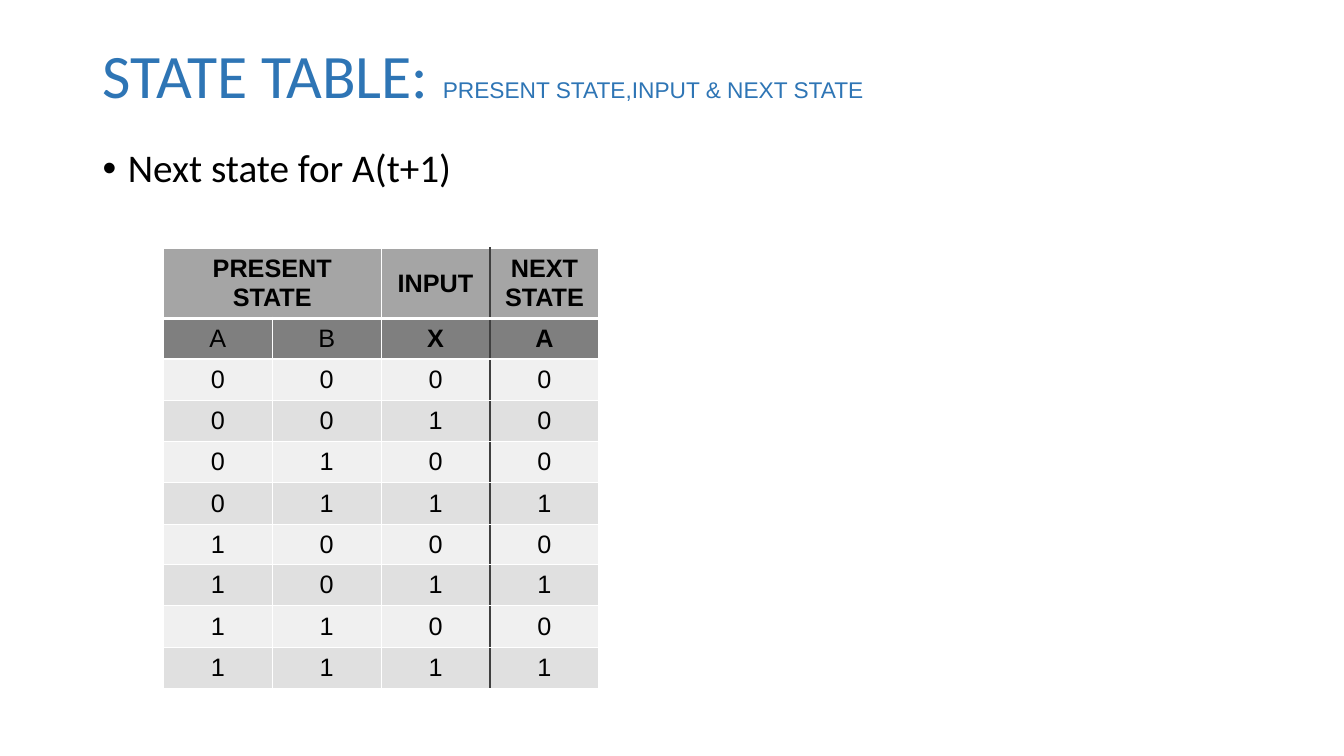
from itertools import product

from lxml.etree import SubElement as Sub
from pptx import Presentation
from pptx.dml.color import RGBColor
from pptx.enum.text import MSO_ANCHOR as Anchor, PP_ALIGN as Align
from pptx.oxml.ns import qn
from pptx.util import Inches, Pt

BLACK, WHITE, GREY = "000000", "FFFFFF", "3F3F3F"
BLUE, HEAD, LABEL = "2E75B5", "A5A5A5", "7F7F7F"
BANDS = ["F0F0F0", "E0E0E0"]
ROWS = [["PRESENT STATE", "", "INPUT", "NEXT STATE"], ["A", "B", "X", "A"]]
ROWS += [[str(v) for v in (a, b, x, x & (a | b))]
         for a, b, x in product((0, 1), repeat=3)]
TALL = [0.41, 0.29] + [0.41] * 4 + [0.17] + [0.41] * 3


def color(text):
    return RGBColor.from_string(text)


def add_run(para, text, font, size, shade, bold=False):
    run = para.add_run()
    run.text = text
    run.font.name = font
    run.font.size = Pt(size)
    run.font.bold = bold
    run.font.color.rgb = color(shade)


def set_frame(frame, anchor):
    frame.word_wrap = True
    frame.vertical_anchor = anchor
    frame.margin_left = frame.margin_right = Inches(0.1)
    frame.margin_top = frame.margin_bottom = Inches(0.05)
    para = frame.paragraphs[0]
    para.line_spacing = 0.9
    para.alignment = Align.LEFT
    return para


def add_title(slide, left, top, width, height):
    title = slide.shapes.title
    title.left, title.top = Inches(left), Inches(top)
    title.width, title.height = Inches(width), Inches(height)
    para = set_frame(title.text_frame, Anchor.MIDDLE)
    add_run(para, "STATE TABLE: ", "Calibri", 44.1, BLUE)
    add_run(para, "PRESENT STATE,INPUT & NEXT STATE", "Arial", 16.2, BLUE)
    para.add_line_break()
    Sub(para._p[-1], qn("a:rPr"), sz="1620")
    Sub(para._p, qn("a:endParaRPr"), sz="1620")


def add_body(slide, left, top, width, height):
    box = slide.shapes.add_textbox(
        Inches(left), Inches(top), Inches(width), Inches(height))
    para = set_frame(box.text_frame, Anchor.TOP)
    props = para._p.get_or_add_pPr()
    props.set("marL", str(Inches(0.25)))
    props.set("indent", str(-Inches(0.25)))
    tint = Sub(props, qn("a:buClr"))
    Sub(tint, qn("a:srgbClr"), val=BLACK)
    Sub(props, qn("a:buFont"), typeface="Arial")
    Sub(props, qn("a:buChar"), char="•")
    add_run(para, "Next state for A(t+1)", "Calibri", 28, BLACK)


def add_edge(cell, side, shade, width):
    line = Sub(cell._tc.get_or_add_tcPr(), qn("a:ln" + side), w=str(Pt(width)))
    fill = Sub(line, qn("a:solidFill"))
    Sub(fill, qn("a:srgbClr"), val=shade)


def fill_cell(cell, text, row, col):
    add_edge(cell, "L", GREY if col == 3 else WHITE, 1)
    add_edge(cell, "R", GREY if col == 2 else WHITE, 1)
    add_edge(cell, "T", WHITE, 3 if row == 1 else 1)
    add_edge(cell, "B", WHITE, 3 if row == 0 else 1)
    cell.fill.solid()
    cell.fill.fore_color.rgb = color(([HEAD, LABEL] + BANDS * 4)[row])
    cell.vertical_anchor = Anchor.MIDDLE
    para = cell.text_frame.paragraphs[0]
    para.alignment = Align.CENTER
    if text:
        bold = row == 0 or (row == 1 and col > 1)
        add_run(para, text, "Arial", 18, BLACK, bold)


def add_states(slide, left, top, wide):
    frame = slide.shapes.add_table(
        len(ROWS), len(ROWS[0]), Inches(left), Inches(top),
        Inches(wide * len(ROWS[0])), Inches(sum(TALL)))
    table = frame.table
    table.first_row = table.horz_banding = False
    for col in table.columns:
        col.width = Inches(wide)
    for row, tall in zip(table.rows, TALL):
        row.height = Inches(tall)
    table.cell(0, 0).merge(table.cell(0, 1))
    for row, texts in enumerate(ROWS):
        for col, text in enumerate(texts):
            fill_cell(table.cell(row, col), text, row, col)


def main():
    deck = Presentation()
    deck.slide_width, deck.slide_height = Inches(13.33), Inches(7.5)
    slide = deck.slides.add_slide(deck.slide_layouts[5])
    add_title(slide, 0.92, 0.4, 11.5, 1.03)
    add_body(slide, 0.92, 1.43, 11.5, 5.32)
    add_states(slide, 1.62, 2.46, 1.08)
    deck.save("out.pptx")


if __name__ == "__main__":
    main()
